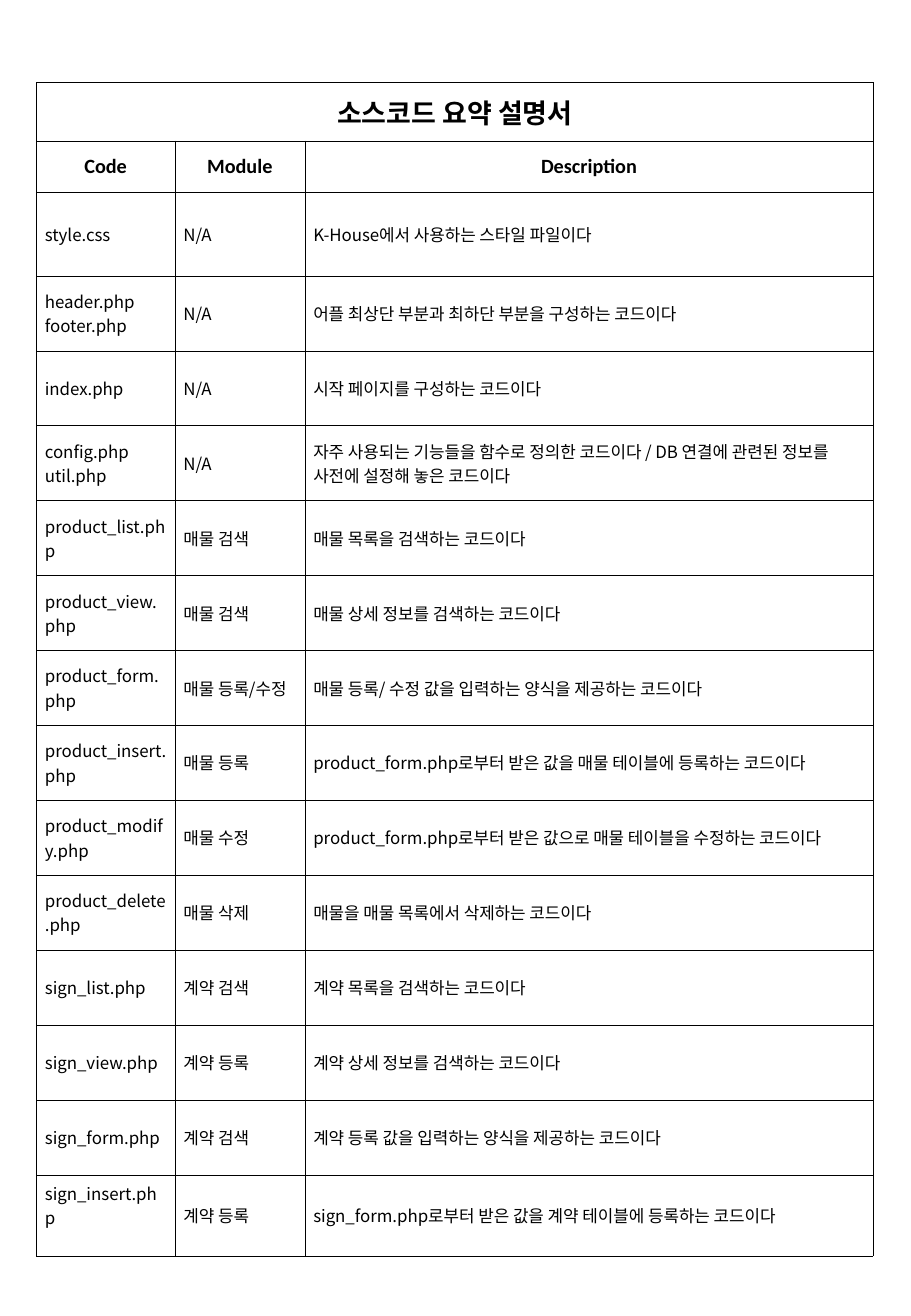
"""Build a one-page table that summarises the source code files."""
from lxml.etree import SubElement as Sub
from pptx import Presentation
from pptx.dml.color import RGBColor
from pptx.enum.text import MSO_ANCHOR as Anchor, PP_ALIGN as Align
from pptx.oxml.ns import qn
from pptx.util import Inches, Pt


def color(code):
    return RGBColor.from_string(code)


def border(cell):
    props = cell._tc.get_or_add_tcPr()
    for side in "LRTB":
        line = Sub(props, qn(f"a:ln{side}"), w=str(Pt(0.25)))
        fill = Sub(line, qn("a:solidFill"))
        Sub(fill, qn("a:srgbClr"), val="000000")


data = [
    ("소스코드 요약 설명서", "", ""),
    ("Code", "Module", "Description"),
    ("style.css", "N/A", "K-House에서 사용하는 스타일 파일이다"),
    ("header.php\nfooter.php", "N/A", "어플 최상단 부분과 최하단 부분을 구성하는 코드이다"),
    ("index.php", "N/A", "시작 페이지를 구성하는 코드이다"),
    ("config.php\nutil.php", "N/A",
     "자주 사용되는 기능들을 함수로 정의한 코드이다 / DB 연결에 관련된 정보를 사전에 설정해 놓은 코드이다"),
    ("product_list.php", "매물 검색", "매물 목록을 검색하는 코드이다"),
    ("product_view.php", "매물 검색", "매물 상세 정보를 검색하는 코드이다"),
    ("product_form.php", "매물 등록/수정", "매물 등록/ 수정 값을 입력하는 양식을 제공하는 코드이다"),
    ("product_insert.php", "매물 등록",
     "product_form.php로부터 받은 값을 매물 테이블에 등록하는 코드이다"),
    ("product_modify.php", "매물 수정",
     "product_form.php로부터 받은 값으로 매물 테이블을 수정하는 코드이다"),
    ("product_delete.php", "매물 삭제", "매물을 매물 목록에서 삭제하는 코드이다"),
    ("sign_list.php", "계약 검색", "계약 목록을 검색하는 코드이다"),
    ("sign_view.php", "계약 등록", "계약 상세 정보를 검색하는 코드이다"),
    ("sign_form.php", "계약 검색", "계약 등록 값을 입력하는 양식을 제공하는 코드이다"),
    ("sign_insert.php", "계약 등록",
     "sign_form.php로부터 받은 값을 계약 테이블에 등록하는 코드이다"),
]
widths = [1.14, 1.07, 4.68]
heights = [0.48, 0.42, 0.69] + [7.4 / 12] * 12 + [0.67]
sizes = [16, 12] + [10] * 14

prs = Presentation()
prs.slide_width, prs.slide_height = Inches(7.5), Inches(10.83)
slide = prs.slides.add_slide(prs.slide_layouts[6])
frame = slide.shapes.add_table(
    len(data), len(widths), Inches(0.3), Inches(0.68),
    Inches(sum(widths)), Inches(sum(heights)))
table = frame.table
table.first_row = table.horz_banding = False
for col, width in zip(table.columns, widths):
    col.width = Inches(width)

for r, (texts, height, size) in enumerate(zip(data, heights, sizes)):
    table.rows[r].height = Inches(height)
    head = r < 2
    for c, text in enumerate(texts):
        cell = table.cell(r, c)
        border(cell)
        cell.fill.solid()
        cell.fill.fore_color.rgb = color("FFFFFF")
        cell.vertical_anchor = Anchor.MIDDLE
        cell.margin_left = cell.margin_right = Inches(0.07)
        cell.margin_top = cell.margin_bottom = Inches(0.03)
        cell.text_frame.text = text
        for para in cell.text_frame.paragraphs:
            para.alignment = Align.CENTER if head else Align.LEFT
            for run in para.runs:
                font = run.font
                font.size, font.bold = Pt(size), head
                font.name = "Calibri" if head else "Noto Sans CJK KR"
                font.color.rgb = color("000000")
                Sub(run._r.get_or_add_rPr(), qn("a:ea"), typeface="Noto Sans CJK KR")

table.cell(0, 0).merge(table.cell(0, 2))
table.cell(len(data) - 1, 0).margin_bottom = Inches(0.2)
prs.save("out.pptx")
